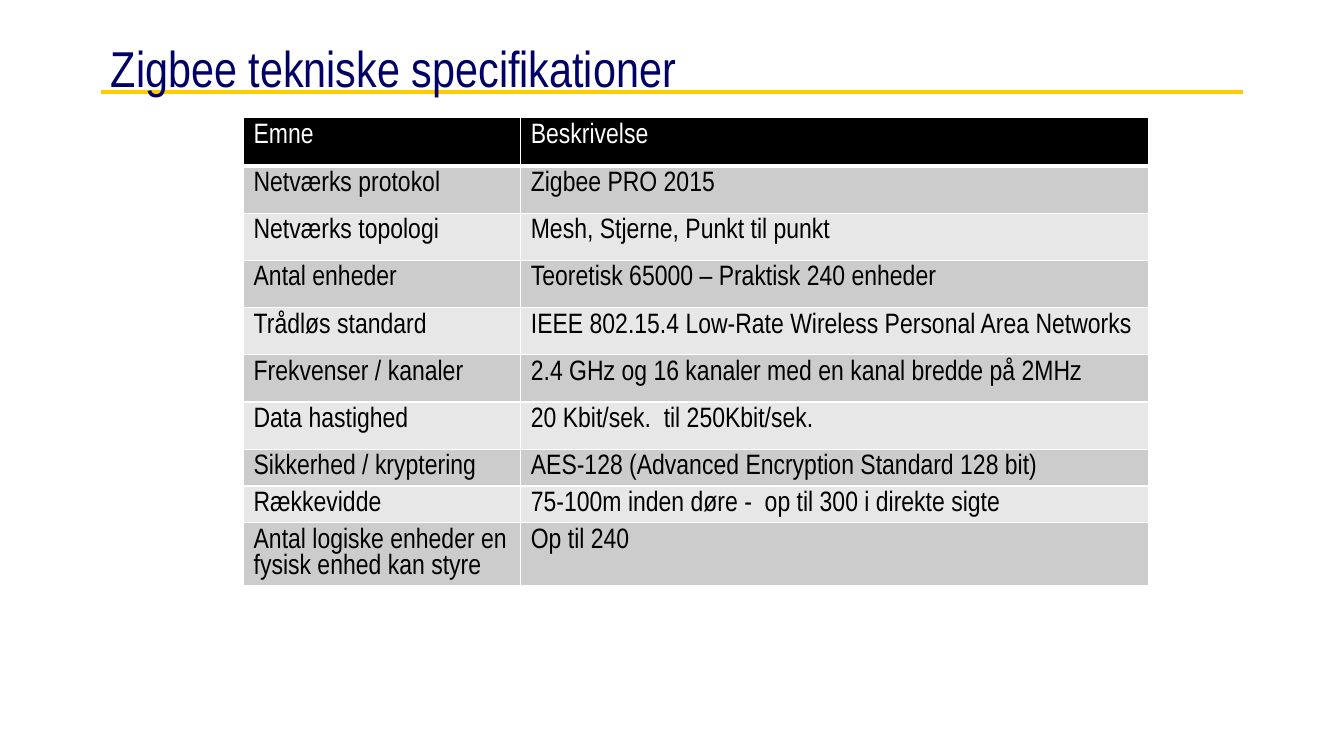
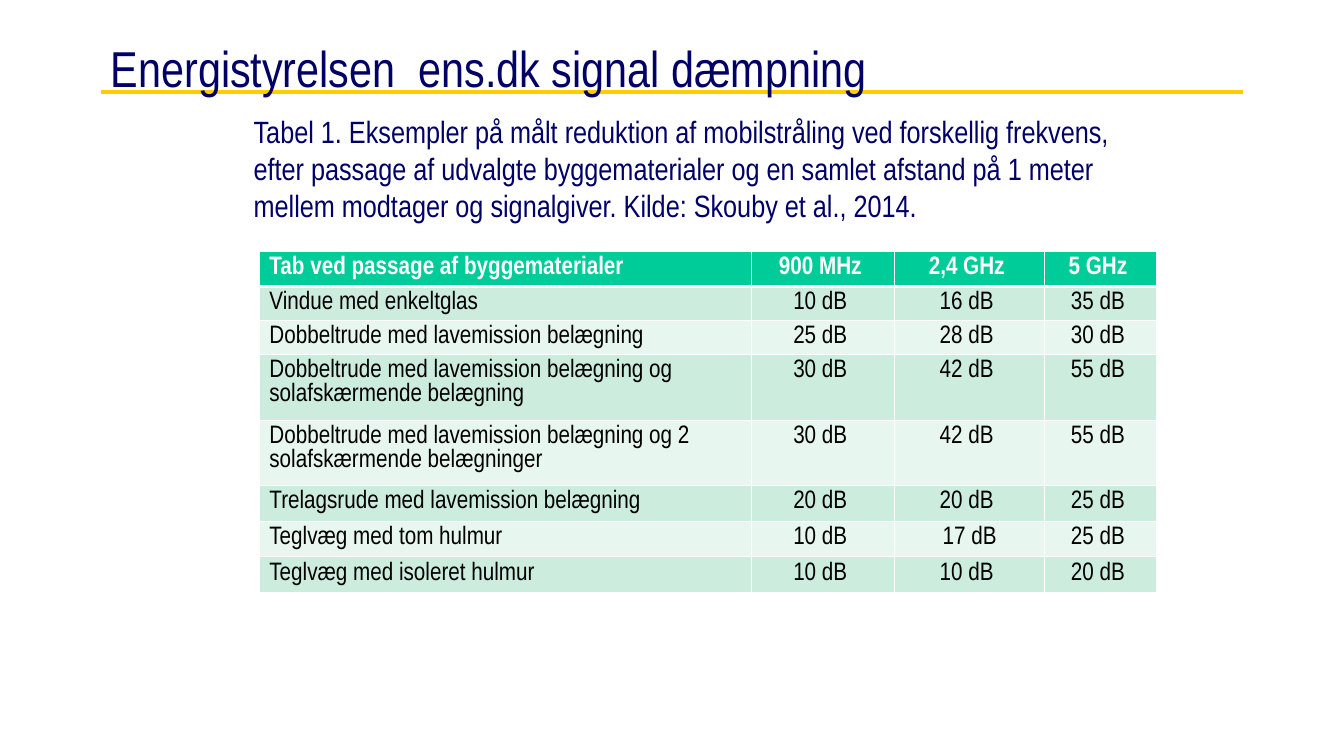
from dataclasses import dataclass

from lxml import etree
from pptx import Presentation
from pptx.dml.color import RGBColor
from pptx.enum.shapes import MSO_CONNECTOR
from pptx.enum.text import MSO_ANCHOR, MSO_AUTO_SIZE, PP_ALIGN
from pptx.oxml.ns import qn
from pptx.presentation import Presentation as PresentationType
from pptx.shapes.placeholder import SlidePlaceholder
from pptx.slide import Slide
from pptx.table import _Cell as Cell
from pptx.text.text import _Paragraph as Paragraph
from pptx.util import Emu, Pt

STRAIGHT = MSO_CONNECTOR.STRAIGHT
MIDDLE, TOP = MSO_ANCHOR.MIDDLE, MSO_ANCHOR.TOP
LEFT, CENTER = PP_ALIGN.LEFT, PP_ALIGN.CENTER
NO_AUTOFIT = MSO_AUTO_SIZE.NONE

EMU_PER_PX = 9525
TITLE_AND_BODY_LAYOUT = 1
TITLE_ONLY_LAYOUT = 5
BACK_OF_SHAPE_TREE = 2


@dataclass(frozen=True)
class Theme:
    font: str = "Arial Narrow"
    navy: str = "000066"
    gold: str = "FFCC00"
    white: str = "FFFFFF"
    black: str = "000000"
    title_size: int = 36
    body_size: int = 22
    rule_width: int = 3
    border_width: int = 1
    header_border_width: int = 3


THEME = Theme()


@dataclass(frozen=True)
class Box:
    left: int
    top: int
    width: int
    height: int


@dataclass(frozen=True)
class TableStyle:
    header_fill: str
    band_fills: tuple[str, str]
    size: int
    bold_header: bool
    value_alignment: PP_ALIGN


@dataclass(frozen=True)
class TableContent:
    left: int
    top: int
    columns: tuple[int, ...]
    row_heights: tuple[int, ...]
    rows: tuple[tuple[str, ...], ...]
    style: TableStyle


TITLE_BOX = Box(96, 16, 1088, 96)
CAPTION_BOX = Box(232, 103, 839, 113)
TITLE_RULE = Box(96, 88, 1088, 0)

SPECIFICATIONS = TableContent(
    left=232,
    top=112,
    columns=(264, 598),
    row_heights=(46,) + (45,) * 6 + (35, 35, 60),
    rows=(
        ("Emne", "Beskrivelse"),
        ("Netværks protokol", "Zigbee PRO 2015"),
        ("Netværks topologi", "Mesh, Stjerne, Punkt til punkt"),
        ("Antal enheder", "Teoretisk 65000 – Praktisk 240 enheder"),
        ("Trådløs standard", "IEEE 802.15.4 Low-Rate Wireless Personal Area Networks"),
        ("Frekvenser / kanaler", "2.4 GHz og 16 kanaler med en kanal bredde på 2MHz"),
        ("Data hastighed", "20 Kbit/sek.  til 250Kbit/sek."),
        ("Sikkerhed / kryptering", "AES-128 (Advanced Encryption Standard 128 bit)"),
        ("Rækkevidde", "75-100m inden døre -  op til 300 i direkte sigte"),
        ("Antal logiske enheder en fysisk enhed kan styre", "Op til 240"),
    ),
    style=TableStyle("000000", ("CCCCCC", "E7E7E7"), 20, False, LEFT),
)

ATTENUATION = TableContent(
    left=247,
    top=239,
    columns=(469, 136, 143, 107),
    row_heights=(34, 32, 32, 63, 62, 34, 34, 34),
    rows=(
        ("Tab ved passage af byggematerialer", "900 MHz ", "2,4 GHz ", "5 GHz "),
        ("Vindue med enkeltglas", "10 dB ", "16 dB ", "35 dB "),
        ("Dobbeltrude med lavemission belægning", "25 dB ", "28 dB ", "30 dB "),
        ("Dobbeltrude med lavemission belægning og solafskærmende belægning",
         "30 dB ", "42 dB ", "55 dB "),
        ("Dobbeltrude med lavemission belægning og 2 solafskærmende belægninger",
         "30 dB ", "42 dB ", "55 dB "),
        ("Trelagsrude med lavemission belægning", "20 dB ", "20 dB ", "25 dB "),
        ("Teglvæg med tom hulmur", "10 dB ", "17 dB", "25 dB "),
        ("Teglvæg med isoleret hulmur", "10 dB ", "10 dB ", "20 dB "),
    ),
    style=TableStyle("00CC99", ("CCECDE", "E7F6EF"), 18, True, CENTER),
)

CAPTION = (
    "Tabel 1. Eksempler på målt reduktion af mobilstråling ved forskellig frekvens, "
    "efter passage af udvalgte byggematerialer og en samlet afstand på 1 meter "
    "mellem modtager og signalgiver. Kilde: Skouby et al., 2014."
)


def px(length: int) -> Emu:
    return Emu(length * EMU_PER_PX)


def add_run(paragraph: Paragraph, text: str, size: int, color: str, bold: bool = False) -> None:
    run = paragraph.add_run()
    run.text = text
    run.font.name = THEME.font
    run.font.size = Pt(size)
    run.font.bold = bold
    run.font.color.rgb = RGBColor.from_string(color)


def fill_placeholder(
    placeholder: SlidePlaceholder, box: Box, text: str, size: int, anchor: MSO_ANCHOR
) -> None:
    """Place a title or body placeholder and give it one plain paragraph."""
    placeholder.left, placeholder.top = px(box.left), px(box.top)
    placeholder.width, placeholder.height = px(box.width), px(box.height)
    frame = placeholder.text_frame
    frame.word_wrap = True
    frame.auto_size = NO_AUTOFIT
    frame.vertical_anchor = anchor
    paragraph = frame.paragraphs[0]
    paragraph.alignment = LEFT
    paragraph.space_before = Pt(0)
    properties = paragraph._p.get_or_add_pPr()
    properties.set("marL", "0")
    properties.set("indent", "0")
    etree.SubElement(properties, qn("a:buNone"))
    add_run(paragraph, text, size, THEME.navy)


def add_title_rule(slide: Slide) -> None:
    """Draw the gold rule behind the title."""
    rule = slide.shapes.add_connector(
        STRAIGHT,
        px(TITLE_RULE.left),
        px(TITLE_RULE.top),
        px(TITLE_RULE.left + TITLE_RULE.width),
        px(TITLE_RULE.top + TITLE_RULE.height),
    )
    rule.line.color.rgb = RGBColor.from_string(THEME.gold)
    rule.line.width = Pt(THEME.rule_width)
    etree.SubElement(rule.element.spPr, qn("a:effectLst"))
    slide.shapes.element.insert(BACK_OF_SHAPE_TREE, rule.element)


def add_titled_slide(presentation: PresentationType, layout: int, title: str) -> Slide:
    slide = presentation.slides.add_slide(presentation.slide_layouts[layout])
    fill_placeholder(slide.shapes.title, TITLE_BOX, title, THEME.title_size, MIDDLE)
    add_title_rule(slide)
    return slide


def set_borders(cell: Cell, bottom_width: int) -> None:
    properties = cell._tc.get_or_add_tcPr()
    for side in ("lnL", "lnR", "lnT", "lnB"):
        width = bottom_width if side == "lnB" else THEME.border_width
        line = etree.SubElement(properties, qn(f"a:{side}"), w=str(Pt(width)))
        solid = etree.SubElement(line, qn("a:solidFill"))
        etree.SubElement(solid, qn("a:srgbClr"), val=THEME.white)


def fill_cell(cell: Cell, text: str, row: int, column: int, style: TableStyle) -> None:
    is_header = row == 0
    set_borders(cell, THEME.header_border_width if is_header else THEME.border_width)
    fill = style.header_fill if is_header else style.band_fills[(row - 1) % 2]
    cell.fill.solid()
    cell.fill.fore_color.rgb = RGBColor.from_string(fill)
    cell.vertical_anchor = TOP
    paragraph = cell.text_frame.paragraphs[0]
    paragraph.alignment = style.value_alignment if column else LEFT
    color = THEME.white if is_header else THEME.black
    add_run(paragraph, text, style.size, color, is_header and style.bold_header)


def add_table(slide: Slide, content: TableContent) -> None:
    table = slide.shapes.add_table(
        len(content.rows),
        len(content.columns),
        px(content.left),
        px(content.top),
        px(sum(content.columns)),
        px(sum(content.row_heights)),
    ).table
    table.horz_banding = False
    for column, width in zip(table.columns, content.columns):
        column.width = px(width)
    for row, height in zip(table.rows, content.row_heights):
        row.height = px(height)
    for row_index, texts in enumerate(content.rows):
        for column_index, text in enumerate(texts):
            cell = table.cell(row_index, column_index)
            fill_cell(cell, text, row_index, column_index, content.style)


def main() -> None:
    presentation = Presentation()
    presentation.slide_width, presentation.slide_height = px(1280), px(720)

    specifications = add_titled_slide(
        presentation, TITLE_ONLY_LAYOUT, "Zigbee tekniske specifikationer"
    )
    add_table(specifications, SPECIFICATIONS)

    attenuation = add_titled_slide(
        presentation, TITLE_AND_BODY_LAYOUT, "Energistyrelsen  ens.dk signal dæmpning"
    )
    fill_placeholder(attenuation.placeholders[1], CAPTION_BOX, CAPTION, THEME.body_size, TOP)
    add_table(attenuation, ATTENUATION)

    presentation.save("out.pptx")


if __name__ == "__main__":
    main()
